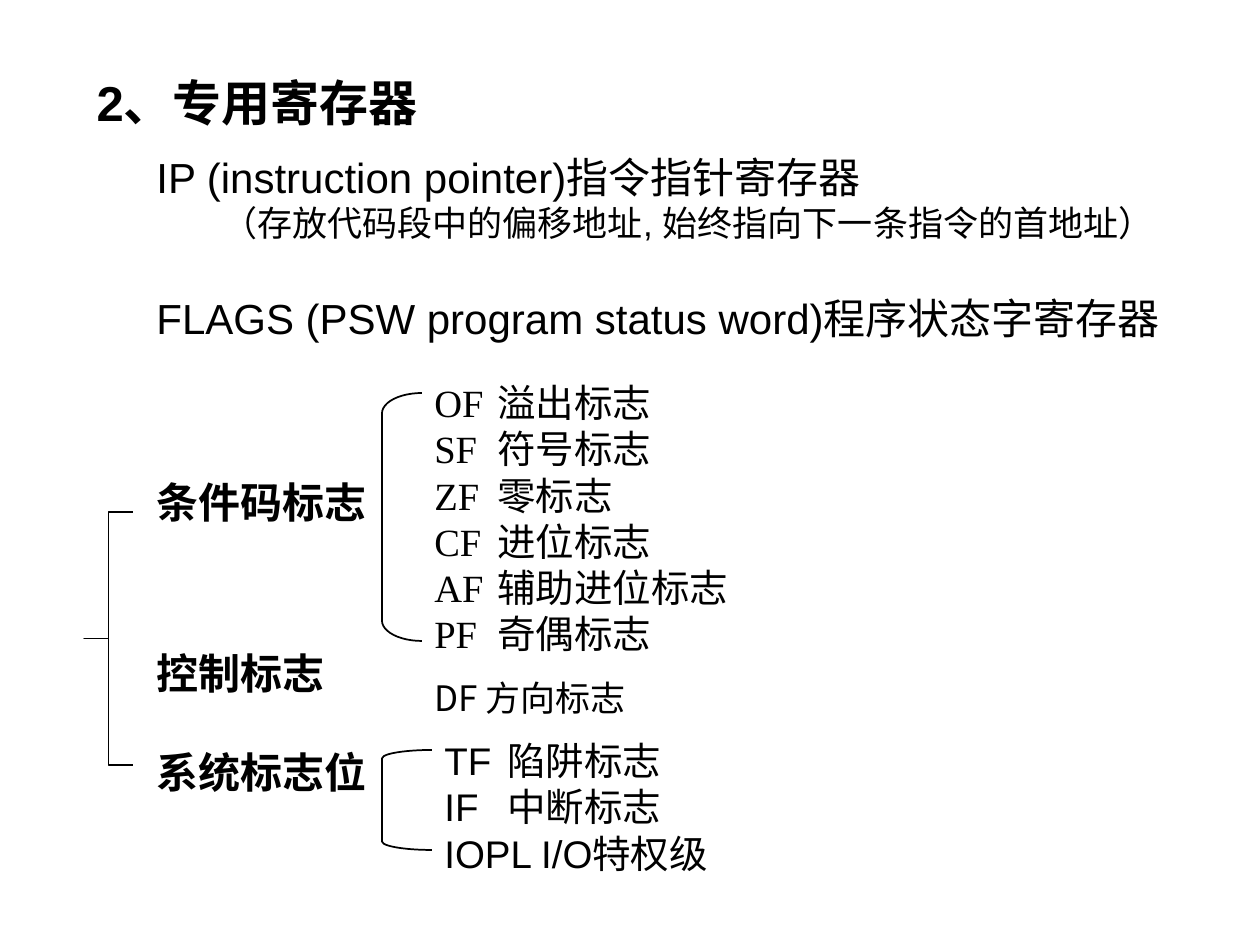
from pptx import Presentation
from pptx.dml.color import RGBColor
from pptx.enum.shapes import MSO_SHAPE
from pptx.enum.text import MSO_ANCHOR, PP_ALIGN
from pptx.oxml.ns import qn
from pptx.util import Emu, Pt

LEFT, TOP = PP_ALIGN.LEFT, MSO_ANCHOR.TOP
BRACE, BRACKET = MSO_SHAPE.LEFT_BRACE, MSO_SHAPE.LEFT_BRACKET
BLACK, WHITE = "000000", "FFFFFF"
PX_PER_INCH = 126


def px(length):
    return Emu(round(length * 914400 / PX_PER_INCH))


def write(box, lines, font, tab=None):
    """Fill box with (text, space before, indent, font changes) lines; tab is in px."""
    frame = box.text_frame
    frame.word_wrap = True
    frame.vertical_anchor = TOP
    for i, (text, space, indent, changes) in enumerate(lines):
        paragraph = frame.paragraphs[0] if i == 0 else frame.add_paragraph()
        properties = paragraph._p.get_or_add_pPr()
        properties.set("marL", str(px(indent)))
        properties.set("indent", "0")
        if tab:
            stops = properties.makeelement(qn("a:tabLst"), {})
            stops.append(stops.makeelement(qn("a:tab"), {"pos": str(px(tab)), "algn": "l"}))
            properties.append(stops)
        paragraph.alignment = LEFT
        paragraph.space_before = Pt(space)
        run = paragraph.add_run()
        run.text = text
        for name, value in {**font, **changes}.items():
            setattr(run.font, name, value)
        run.font.color.rgb = RGBColor.from_string(BLACK)


prs = Presentation()
prs.slide_width, prs.slide_height = px(1260), px(945)
slide = prs.slides.add_slide(prs.slide_layouts[5])
slide.background.fill.solid()
slide.background.fill.fore_color.rgb = RGBColor.from_string(WHITE)

title = slide.shapes.title
title.left, title.top, title.width, title.height = map(px, (84, 66, 1121, 72))
write(title, [("2、专用寄存器", 0, 0, {})], {"size": Pt(28), "name": "Arial", "bold": True})

# Registers and the three groups of flags
registers = slide.shapes.add_textbox(*map(px, (144, 145, 1042, 673)))
registers.fill.solid()
registers.fill.fore_color.rgb = RGBColor.from_string(WHITE)
group = {"bold": True}
write(registers, [
    ("IP (instruction pointer)指令指针寄存器", 0, 0, {}),
    ("（存放代码段中的偏移地址, 始终指向下一条指令的首地址）", 0, 66, {"size": Pt(20)}),
    ("FLAGS (PSW program status word)程序状态字寄存器", 28, 0, {}),
    ("条件码标志", 76, 0, group),
    ("控制标志", 69, 0, group),
    ("系统标志位", 28, 0, group),
], {"size": Pt(24), "name": "Arial"})

# Flags in each group: place, text size, font, tab stop, lines
flag_lists = [
    ((422, 373, 431, 290), 22, "Times New Roman", 76,
     ["OF\t溢出标志", "SF\t符号标志", "ZF\t零标志", "CF\t进位标志",
      "AF\t辅助进位标志", "PF\t奇偶标志"]),
    ((422, 670, 287, 55), 20, "Noto Sans CJK SC", None, ["DF 方向标志"]),
    ((432, 731, 387, 151), 22, "Arial", 66, ["TF\t陷阱标志", "IF\t中断标志", "IOPL I/O特权级"]),
]
for place, size, font_name, tab, flags in flag_lists:
    flag_box = slide.shapes.add_textbox(*map(px, place))
    write(flag_box, [(flag, 0, 0, {}) for flag in flags],
          {"size": Pt(size), "name": font_name}, tab)

# Brace over the groups, brackets over the flags: preset, place, curvature, line width
for preset, place, curvature, weight in [
    (BRACE, (84, 512, 49, 253), 0, 0.75),
    (BRACKET, (382, 393, 40, 248), 0.51, 1),
    (BRACKET, (382, 750, 50, 100), 0.17, 1),
]:
    bracket = slide.shapes.add_shape(preset, *map(px, place))
    bracket.adjustments[0] = curvature
    bracket.shadow.inherit = False
    bracket.fill.background()
    bracket.line.color.rgb = RGBColor.from_string(BLACK)
    bracket.line.width = Pt(weight)

prs.save("out.pptx")
